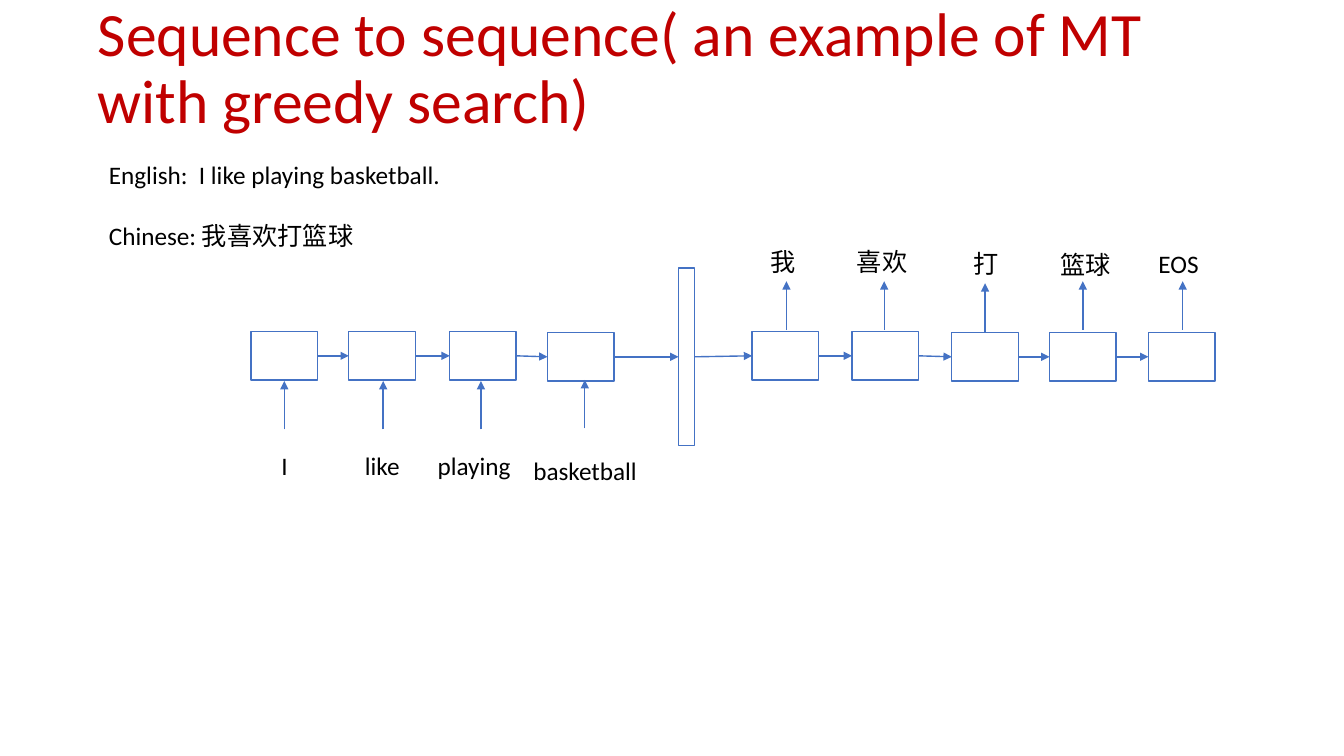
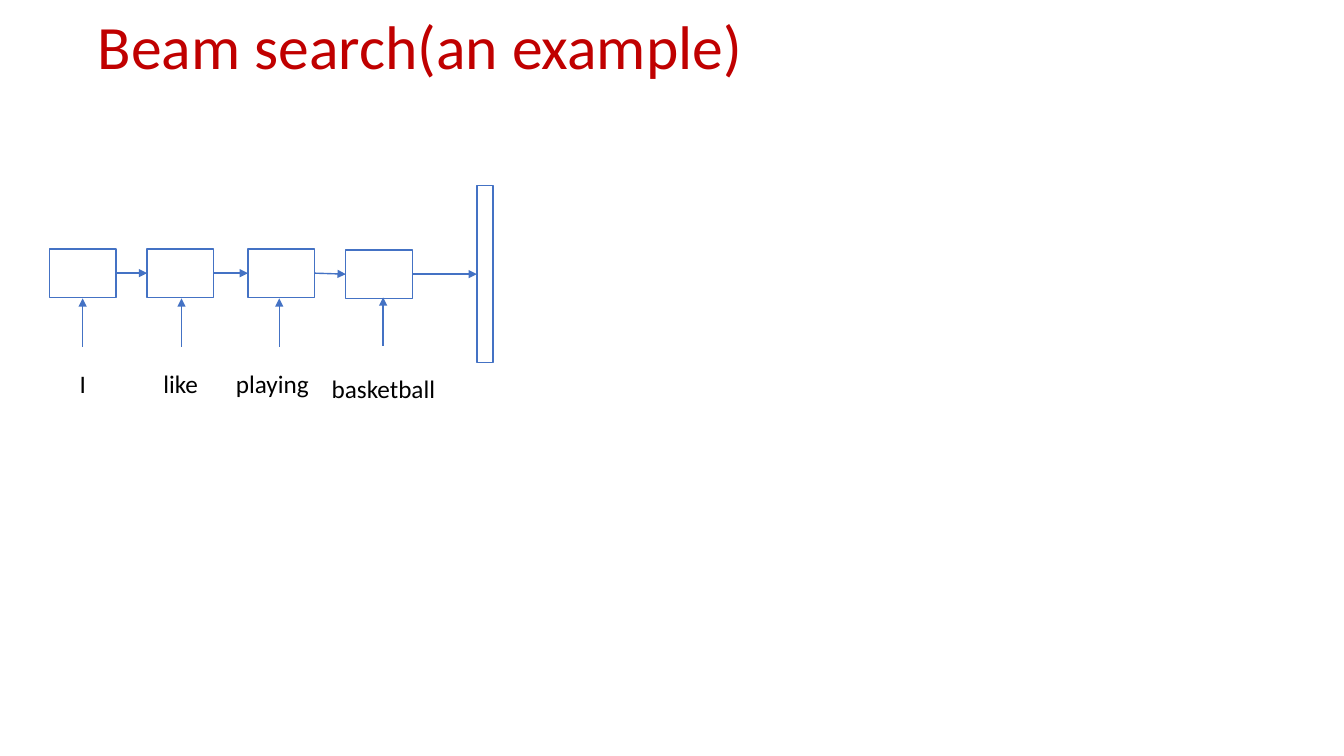
from lxml.etree import SubElement
from pptx import Presentation
from pptx.dml.color import RGBColor
from pptx.enum.shapes import MSO_CONNECTOR, MSO_SHAPE
from pptx.enum.text import MSO_ANCHOR
from pptx.oxml.ns import qn
from pptx.util import Pt

PX = 9144
FONT = "Calibri"
RED, BLACK, WHITE, BLUE = "C00000", "000000", "FFFFFF", "4472C4"
CELL_WIDTH, CELL_HEIGHT = 66, 48
hex_color = RGBColor.from_string


def add_text(page, place, lines, size=18, color=BLACK, gap=0, spacing=1.0, anchor=MSO_ANCHOR.TOP):
    box = page.shapes.add_textbox(*(value * PX for value in place))
    frame = box.text_frame
    frame.word_wrap = True
    frame.vertical_anchor = anchor
    frame.margin_left = frame.margin_right = frame.margin_top = frame.margin_bottom = 5 * PX
    for index, line in enumerate(lines):
        para = frame.add_paragraph() if index else frame.paragraphs[0]
        para.line_spacing = spacing
        if index:
            para.space_before = Pt(gap)
        span = para.add_run()
        span.text = line
        span.font.name = FONT
        span.font.size = Pt(size)
        span.font.color.rgb = hex_color(color)


def add_arrow(page, *ends):
    arrow = page.shapes.add_connector(MSO_CONNECTOR.STRAIGHT, *(value * PX for value in ends))
    arrow.line.color.rgb = hex_color(BLUE)
    arrow.line.width = Pt(1)
    SubElement(arrow.line._get_or_add_ln(), qn("a:tailEnd"), type="triangle")
    SubElement(arrow._element.spPr, qn("a:effectLst"))


encoder = [(x, y, CELL_WIDTH, CELL_HEIGHT) for x, y in [(249, 329), (346, 329), (446, 329), (543, 330)]]
context = [(673, 266, 16, 176)]
decoder = [
    (x, y, CELL_WIDTH, CELL_HEIGHT)
    for x, y in [(746, 329), (845, 329), (944, 330), (1041, 330), (1139, 330)]
]

input_arrows = [(x, 426, 378) for x in (282, 380, 477)] + [(580, 425, 377)]
output_arrows = [(780, 327, 279), (877, 327, 279), (977, 330, 281), (1074, 327, 279), (1173, 327, 279)]

input_words = [("I", 274, 442, 33), ("like", 357, 442, 56), ("playing", 429, 442, 93), ("basketball", 524, 447, 136)]
output_words = [
    ("我", 759, 239, 50),
    ("喜欢", 845, 239, 66),
    ("打", 961, 241, 50),
    ("篮球", 1047, 242, 66),
    ("EOS", 1144, 241, 66),
]

slides = [
    (
        "Sequence to sequence( an example of MT with greedy search)", -3, 0, 0,
        encoder + context + decoder, input_arrows + output_arrows, input_words + output_words,
    ),
    ("Beam search(an example)", -23, -200, -82, encoder + context, input_arrows, input_words),
]

deck = Presentation()
deck.slide_width, deck.slide_height = 1333 * PX, 750 * PX

for title, title_top, dx, dy, cells, arrows, words in slides:
    page = deck.slides.add_slide(deck.slide_layouts[6])
    add_text(page, (92, title_top, 1150, 145), [title], 44, RED, spacing=0.9, anchor=MSO_ANCHOR.MIDDLE)

    for x, y, width, height in cells:
        cell = page.shapes.add_shape(
            MSO_SHAPE.RECTANGLE, (x + dx) * PX, (y + dy) * PX, width * PX, height * PX
        )
        cell.shadow.inherit = False
        cell.fill.solid()
        cell.fill.fore_color.rgb = hex_color(WHITE)
        cell.line.color.rgb = hex_color(BLUE)
        cell.line.width = Pt(1)

    for (x, y, width, height), (next_x, next_y, _, next_height) in zip(cells, cells[1:]):
        add_arrow(page, x + width + dx, y + height // 2 + dy, next_x + dx, next_y + next_height // 2 + dy)

    for x, start, end in arrows:
        add_arrow(page, x + dx, start + dy, x + dx, end + dy)

    for word, x, y, width in words:
        add_text(page, (x + dx, y + dy, width, 40), [word])

add_text(
    deck.slides[0], (103, 153, 455, 101),
    ["English:  I like playing basketball.", "Chinese: 我喜欢打篮球"], gap=22,
)

deck.save("out.pptx")
